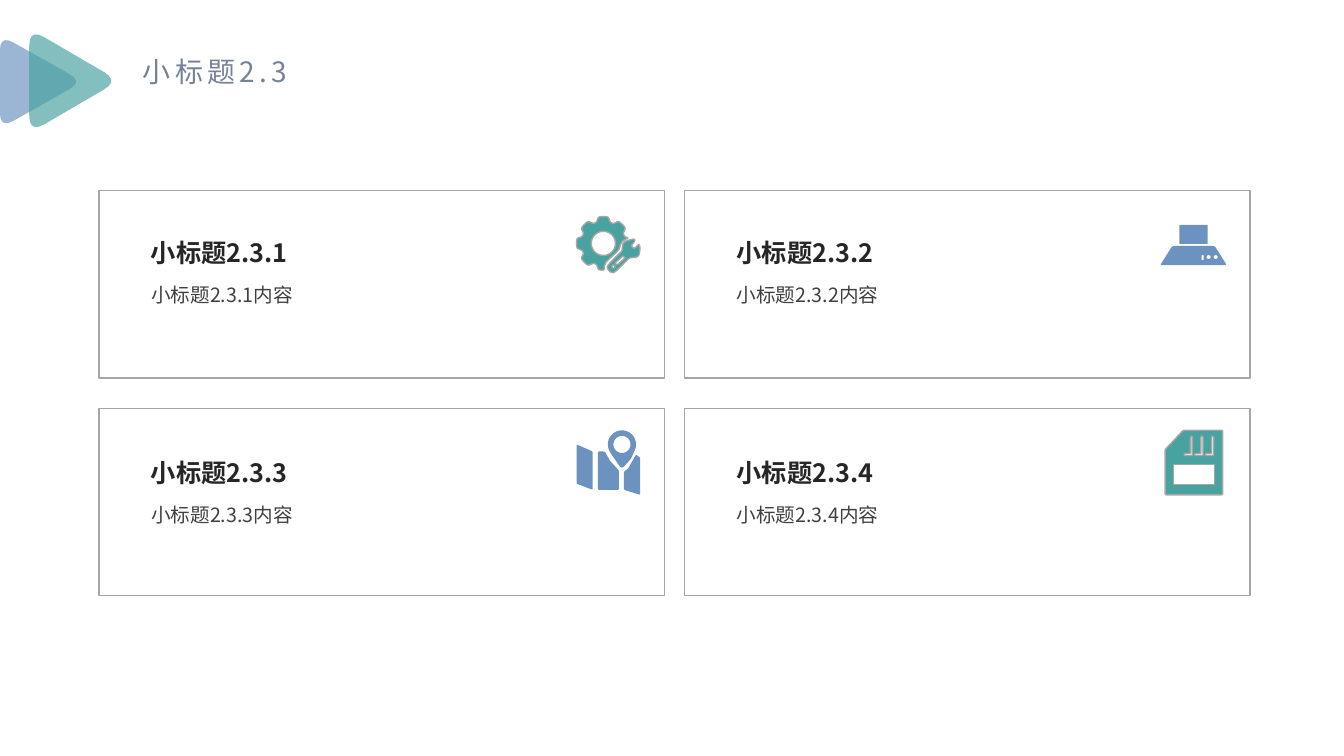
from math import cos, dist, radians, sin

from lxml import etree
from pptx import Presentation
from pptx.dml.color import RGBColor
from pptx.enum.shapes import MSO_SHAPE
from pptx.enum.text import MSO_AUTO_SIZE, PP_ALIGN
from pptx.oxml.ns import qn
from pptx.util import Pt

RECT = MSO_SHAPE.RECTANGLE
GROW = MSO_AUTO_SIZE.SHAPE_TO_FIT_TEXT
JUSTIFY = PP_ALIGN.JUSTIFY
FONT = "Noto Sans CJK SC"
COLORS = {
    "teal": "48A2A0",
    "blue": "6C92C0",
    "edge": "A6A6A6",
    "header": "768394",
    "title": "262626",
    "body": "404040",
}
GRID = 0.72  # points per step of the icon drawings


def rgb(name):
    return RGBColor.from_string(COLORS[name])


def arc(x, y, r, start=0, end=350, step=10):
    angles = [radians(a) for a in range(start, end + 1, step)]
    return [(x + r * cos(a), y + r * sin(a)) for a in angles]


def box(left, top, right, low):
    return [(left, top), (right, top), (right, low), (left, low)]


def soften(points, r):
    """Round each corner of a polygon, trimming its sides by r at most."""
    out = []
    for i, (x, y) in enumerate(points):
        ends = []
        for near in (points[i - 1], points[(i + 1) % len(points)]):
            t = min(r / dist((x, y), near), 0.5)
            ends.append((x + t * (near[0] - x), y + t * (near[1] - y)))
        (ax, ay), (bx, by) = ends
        for t in (0, 0.2, 0.4, 0.6, 0.8, 1):
            u = 1 - t
            out.append((u * u * ax + 2 * u * t * x + t * t * bx,
                        u * u * ay + 2 * u * t * y + t * t * by))
    return out


def gear():
    x, y = 27.5, 26.5
    rim = [(29, 53)]
    for tooth in range(90, 361, 45):
        for turn, r in ((-17, 22), (-11, 27), (11, 27), (17, 22)):
            a = radians(tooth + turn)
            if 90 < tooth + turn < 345:
                rim.append((x + r * cos(a), y + r * sin(a)))
    rim += [(53, 21), (48, 23), (45, 26), (43, 33), (30, 45), (28, 50)]
    wrench = [
        (58, 22), (59, 24), (55, 29), (58, 32), (63, 27), (64, 31), (63, 38),
        (61, 40), (53, 41), (40, 54), (37, 56), (33, 54), (31, 50), (33, 47),
        (46, 34), (47, 26), (50, 24),
    ]
    slot = [(47, 39), (39, 46), (41, 48), (49, 41)]
    return [soften(rim, 3), arc(x, y, 12), soften(wrench, 2),
            soften(slot, 1), arc(37.5, 49.5, 1.5)]


def hood():
    base = [(11, 21), (53, 21), (65, 40), (-1, 40)]
    return [soften(base, 2), soften(box(18, 0, 46, 19), 1),
            box(40, 30, 42, 35), arc(47, 32, 2), arc(54, 32, 2)]


def map_pin():
    left = [(0, 14), (16, 21), (16, 59), (0, 53)]
    mid = [(21, 21), (28, 21), (33, 30), (42, 40), (42, 59), (21, 59)]
    right = [(59, 24), (63, 27), (63, 64), (47, 59), (47, 41), (51, 38)]
    pin = arc(45, 14, 14, 150, 390) + [(54, 28), (47, 36), (45, 37),
                                       (43, 36), (36, 26)]
    return [soften(part, 1.5) for part in (left, mid, right)] + [
        pin, arc(45, 14, 8.5)]


def disk():
    body = [(18, 0), (57, 0), (57, 64), (0, 64), (0, 19)]
    hook = [(19, 23), (25, 23), (25, 6), (27, 6), (27, 25), (19, 25)]
    hooks = [soften([(x + dx, y) for x, y in hook], 0.8)
             for dx in (0, 10.5, 21)]
    return [soften(body, 1.5), box(8, 34, 49, 54)] + hooks


def draw(shapes, x, y, loops, color, edge=False, alpha=None):
    """Draw closed loops on the grid from (x, y); inner loops are holes."""
    pen = None
    for loop in loops:
        spots = [((x + px * GRID) * 100, (y + py * GRID) * 100)
                 for px, py in loop]
        if pen is None:
            pen = shapes.build_freeform(*spots[0], scale=Pt(0.01))
        else:
            pen.move_to(*spots[0])
        pen.add_line_segments(spots[1:], close=True)
    shape = pen.convert_to_shape()
    shape.shadow.inherit = False
    shape.fill.solid()
    shape.fill.fore_color.rgb = rgb(color)
    if edge:
        outline(shape)
    else:
        shape.line.fill.background()
    if alpha:
        tint = shape._element.spPr.find(".//" + qn("a:srgbClr"))
        etree.SubElement(tint, qn("a:alpha")).set("val", str(alpha * 1000))


def outline(shape):
    shape.line.color.rgb = rgb("edge")
    shape.line.width = Pt(1)


def write(shapes, place, text, size, color, bold=False, wrap=True, gap=0):
    """Add one line of text; gap is the letter spacing in points."""
    frame = shapes.add_textbox(*map(Pt, place)).text_frame
    frame.word_wrap = wrap
    frame.auto_size = GROW
    para = frame.paragraphs[0]
    para.text = text
    if wrap:
        para.alignment = JUSTIFY
        para.line_spacing = 1.2
    font = para.font
    font.size = Pt(size)
    font.bold = bold
    font.color.rgb = rgb(color)
    font.name = FONT
    etree.SubElement(font._rPr, qn("a:ea")).set("typeface", FONT)
    if gap:
        font._rPr.set("spc", str(gap * 100))


def header(slide):
    write(slide.shapes, (95, 35.3, 122.4, 31.7), "小标题2.3", 20, "header",
          wrap=False, gap=3)
    shapes = slide.shapes.add_group_shape().shapes
    back = [(0, 34.7), (82.2, 81), (0, 127.5)]
    front = [(29, 28.2), (118, 80.2), (29, 132)]
    draw(shapes, 0, 0, [soften(back, 15.5)], "blue", alpha=68)
    draw(shapes, 0, 0, [soften(front, 17.5)], "teal", alpha=68)


def card(slide, col, row, name, icon):
    shapes = slide.shapes.add_group_shape().shapes
    left, top = 70.6 + 418.3 * col, 136.1 + 155.5 * row
    frame = shapes.add_shape(RECT, *map(Pt, (left, top, 403.9, 133.9)))
    frame.shadow.inherit = False
    frame.fill.background()
    outline(frame)
    x, y, loops, color, edge = icon
    draw(shapes, left + x, top + y, loops, color, edge)
    x, y = left + 30.2, 162 + 157 * row
    write(shapes, (x, y + 33.1, 310.3, 17.3), name + "内容", 14, "body")
    write(shapes, (x, y, 161.3, 33.1), name, 18, "title", bold=True)


def main():
    deck = Presentation()
    deck.slide_width, deck.slide_height = Pt(960), Pt(540)
    slide = deck.slides.add_slide(deck.slide_layouts[6])
    header(slide)
    icons = [
        (340.6, 18.7, gear(), "teal", True),
        (340.6, 24.5, hood(), "blue", False),
        (341.3, 15.8, map_pin(), "blue", False),
        (343.4, 15.8, disk(), "teal", True),
    ]
    for i, icon in enumerate(icons):
        card(slide, i % 2, i // 2, f"小标题2.3.{i + 1}", icon)
    deck.save("out.pptx")


if __name__ == "__main__":
    main()
